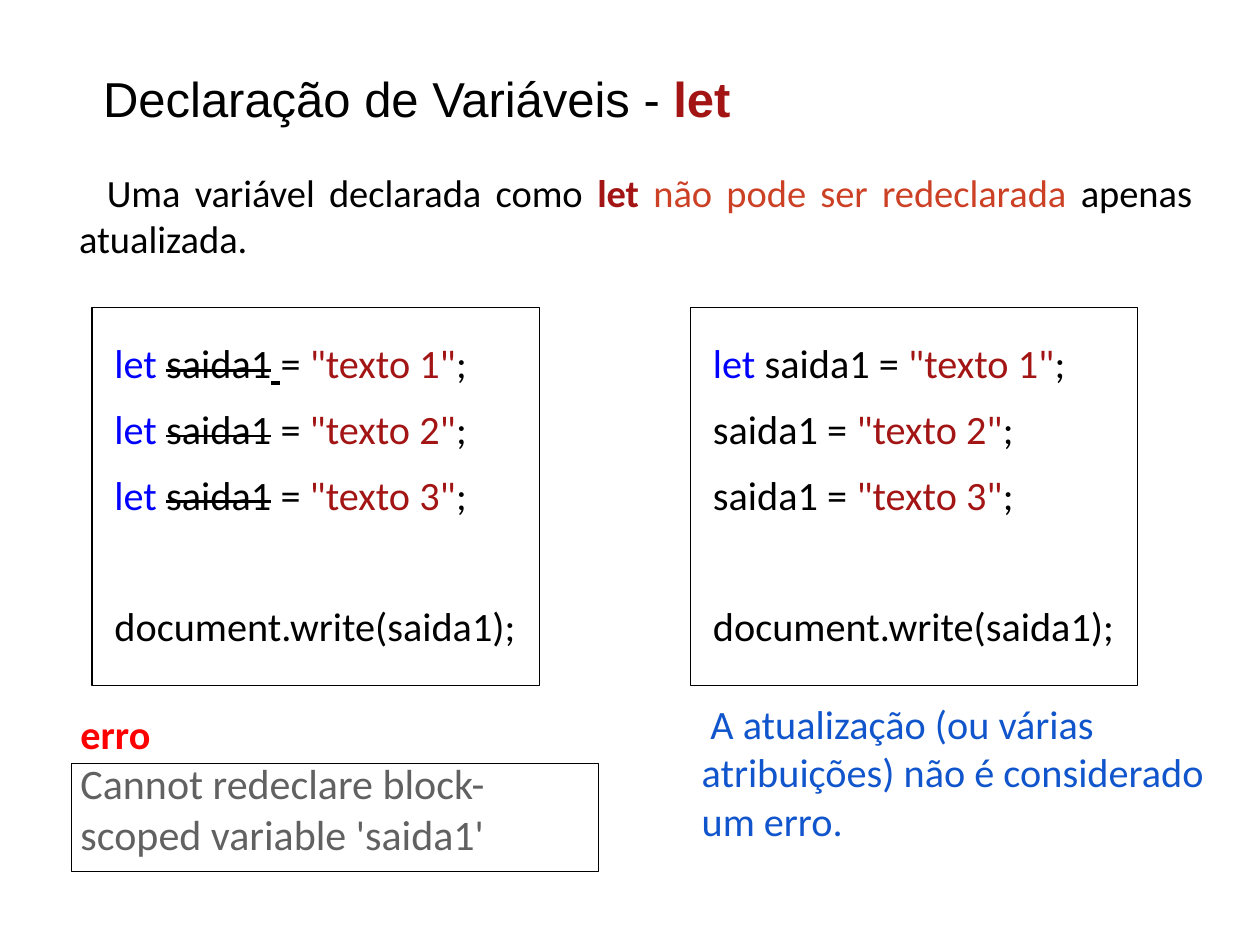
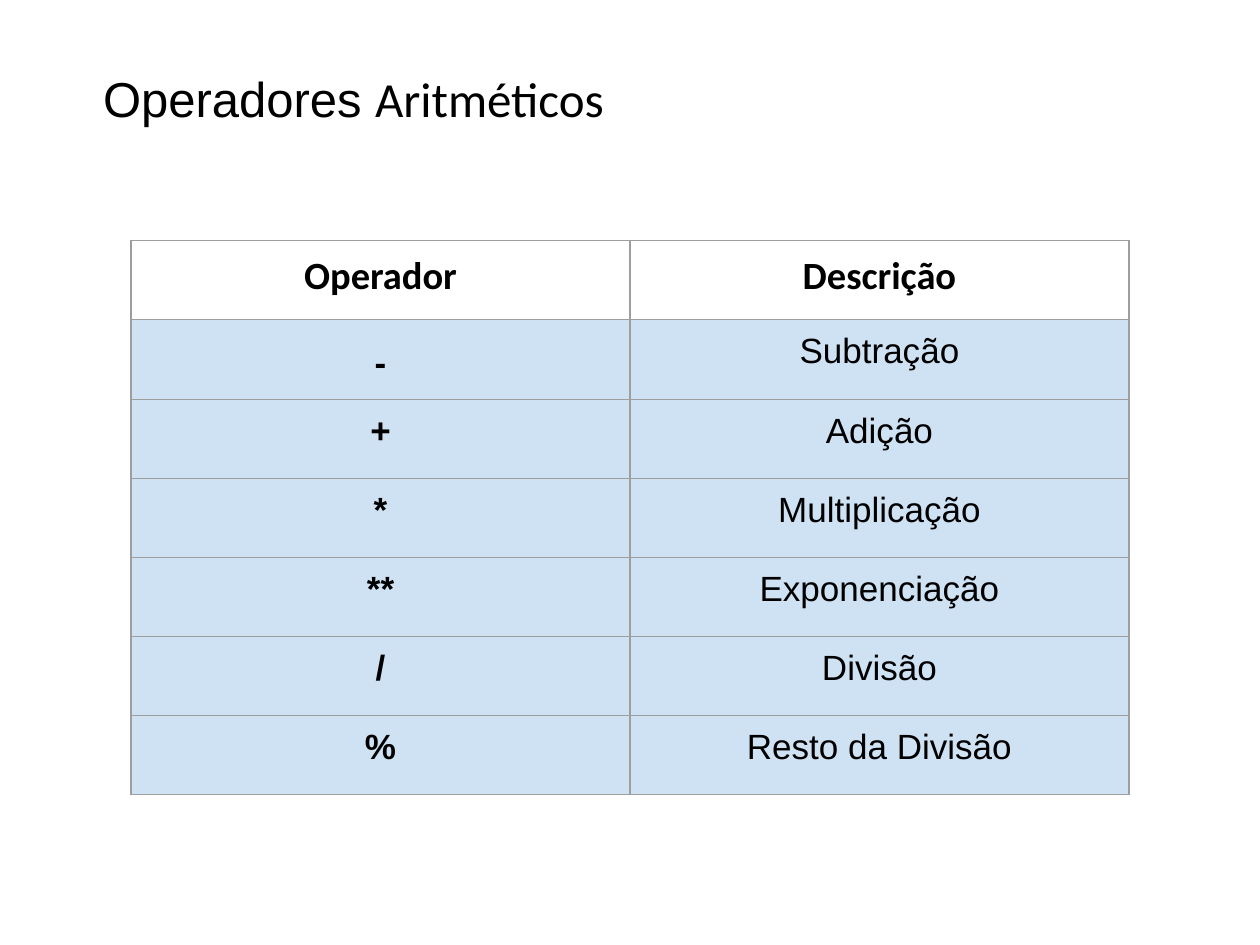
from dataclasses import dataclass

from lxml import etree
from pptx import Presentation
from pptx import util as u
from pptx.dml.color import RGBColor
from pptx.enum import shapes, text
from pptx.oxml import ns


@dataclass(frozen=True)
class Theme:
    ink: str = "000000"
    keyword: str = "0000FF"
    string: str = "A31515"
    warning: str = "CC4125"
    error: str = "FF0000"
    message: str = "616161"
    note: str = "1155CC"
    row_fill: str = "CFE2F3"
    grid: str = "9E9E9E"
    heading_font: str = "Arial"
    body_font: str = "Calibri"
    title_size: int = 28
    message_size: int = 24
    code_size: int = 23
    body_size: int = 22
    cell_size: int = 20
    border: float = 0.75


THEME = Theme()


# Shared helpers
def rgb(color):
    return RGBColor.from_string(color)


def add_text_box(page, left, top, width, height, inset=0.1):
    box = page.shapes.add_textbox(*map(u.Inches, (left, top, width, height)))
    frame = box.text_frame
    frame.word_wrap = True
    frame.margin_left = frame.margin_right = u.Inches(0.1)
    frame.margin_top = frame.margin_bottom = u.Inches(inset)
    return frame


def write(para, spans, size, font=THEME.body_font, color=THEME.ink, bold=False, indent=0):
    """Each span is its text and, where it differs, its own font settings."""
    if indent:
        para._p.get_or_add_pPr().set("indent", str(u.Inches(indent)))
    para.font.name, para.font.size, para.font.bold = font, u.Pt(size), bold
    para.font.color.rgb = rgb(color)
    for words, style in spans:
        span = para.add_run()
        span.text = words
        if "color" in style:
            span.font.color.rgb = rgb(style["color"])
        if "font" in style:
            span.font.name = style["font"]
        if style.get("bold"):
            span.font.bold = True
        if style.get("underline"):
            span.font.underline = True
        if style.get("strike"):
            span.font._element.set("strike", "sngStrike")


def add_frame(page, left, top, width, height):
    frame = page.shapes.add_shape(
        shapes.MSO_SHAPE.RECTANGLE, *map(u.Inches, (left, top, width, height)))
    frame.shadow.inherit = False
    frame.fill.background()
    frame.line.color.rgb = rgb(THEME.ink)
    frame.line.width = u.Pt(THEME.border)


def add_title(page, spans):
    frame = add_text_box(page, 0.72, 0.18, 8.84, 1.2, inset=0.05)
    frame.vertical_anchor = text.MSO_ANCHOR.MIDDLE
    write(frame.paragraphs[0], spans, THEME.title_size, THEME.heading_font)


# Code panel: frame with assignments, then the output call after a gap
def assignment(number, keyword=True, strike=False, tail=" = "):
    spans = [("let ", {"color": THEME.keyword})] if keyword else []
    spans.append(("saida1", {"strike": strike}))
    if tail == "= ":
        spans.append((" ", {"underline": True}))
    return spans + [(tail, {}), (f'"texto {number}"', {"color": THEME.string}), (";", {})]


def add_code_panel(page, left, top, assignments):
    add_frame(page, left, top, 3.55, 3)
    frame = add_text_box(page, left + 0.08, top + 0.01, 3.55, 2.69)
    lines = assignments + [[("document.write(saida1);", {})]]
    for index, spans in enumerate(lines):
        para = frame.add_paragraph() if index else frame.paragraphs[0]
        para.line_spacing = 1.36
        if index == len(assignments):
            para.space_before = u.Pt(37.3)
        write(para, spans, THEME.code_size)


# Error panel: red label above a framed message
def add_error_panel(page, left, top, label, message):
    frame = add_text_box(page, left, top, 4.29, 1.4)
    write(frame.paragraphs[0], [(label, {})], THEME.code_size, color=THEME.error, bold=True)
    write(frame.add_paragraph(), [(message, {})], THEME.message_size, color=THEME.message)
    add_frame(page, left + 0.03, top + 0.53, 4.18, 0.86)


def build_let_slide(page):
    add_title(page, [("Declaração de Variáveis - ", {}),
                     ("let", {"color": THEME.string, "bold": True})])

    # Introduction
    intro = add_text_box(page, 0.53, 1.24, 9.03, 0.94).paragraphs[0]
    intro.alignment = text.PP_ALIGN.JUSTIFY
    write(intro, [("Uma variável declarada como ", {}),
                  ("let ", {"color": THEME.string, "bold": True}),
                  ("não pode ser redeclarada ", {"color": THEME.warning}),
                  ("apenas atualizada.", {})], THEME.body_size, indent=0.22)

    # Redeclaration against update
    panel_top = 2.44
    add_code_panel(page, 0.73, panel_top, [
        assignment(number, strike=True, tail="= " if number == 1 else " = ")
        for number in (1, 2, 3)])
    add_code_panel(page, 5.48, panel_top, [
        assignment(number, keyword=number == 1) for number in (1, 2, 3)])

    # Outcomes
    add_error_panel(page, 0.54, 5.53, "erro",
                    "Cannot redeclare block-scoped variable 'saida1'")
    note = add_text_box(page, 5.47, 5.45, 4.29, 1.36).paragraphs[0]
    write(note, [("A atualização (ou várias atribuições) não é considerado um erro.", {})],
          THEME.code_size, color=THEME.note, indent=0.07)


# Operator table
def set_borders(cell):
    properties = cell._tc.get_or_add_tcPr()
    for position, side in enumerate(("lnL", "lnR", "lnT", "lnB")):
        line = etree.Element(ns.qn(f"a:{side}"), w=str(u.Pt(THEME.border)))
        fill = etree.SubElement(line, ns.qn("a:solidFill"))
        etree.SubElement(fill, ns.qn("a:srgbClr"), val=THEME.grid)
        properties.insert(position, line)


def add_operator_table(page, left, top, column_width, row_height, rows):
    columns = len(rows[0])
    table = page.shapes.add_table(
        len(rows), columns, u.Inches(left), u.Inches(top),
        u.Inches(column_width * columns), u.Inches(row_height * len(rows))).table
    table.first_row = table.horz_banding = False
    for row_index, row in enumerate(rows):
        header = row_index == 0
        for column_index, words in enumerate(row):
            cell = table.cell(row_index, column_index)
            cell.margin_left = cell.margin_right = u.Inches(0.1)
            cell.margin_top = cell.margin_bottom = u.Inches(0.1)
            if header:
                cell.fill.background()
            else:
                cell.fill.solid()
                cell.fill.fore_color.rgb = rgb(THEME.row_fill)
            set_borders(cell)
            para = cell.text_frame.paragraphs[0]
            para.alignment = text.PP_ALIGN.CENTER
            if words == "-":
                para.line_spacing = 1.3
            write(para, [(words, {})],
                  THEME.body_size if header else THEME.cell_size,
                  THEME.body_font if header else THEME.heading_font,
                  bold=header or column_index == 0)


def build_operators_slide(page):
    add_title(page, [("Operadores ", {}), ("Aritméticos", {"font": THEME.body_font})])
    add_operator_table(page, 1.04, 1.91, 3.96, 0.627, [
        ("Operador", "Descrição"),
        ("-", "Subtração"),
        ("+", "Adição"),
        ("*", "Multiplicação"),
        ("**", "Exponenciação"),
        ("/", "Divisão"),
        ("%", "Resto da Divisão"),
    ])


def main():
    deck = Presentation()
    deck.slide_width, deck.slide_height = u.Inches(10), u.Inches(7.5)
    for build in (build_let_slide, build_operators_slide):
        build(deck.slides.add_slide(deck.slide_layouts[6]))
    deck.save("out.pptx")


if __name__ == "__main__":
    main()
